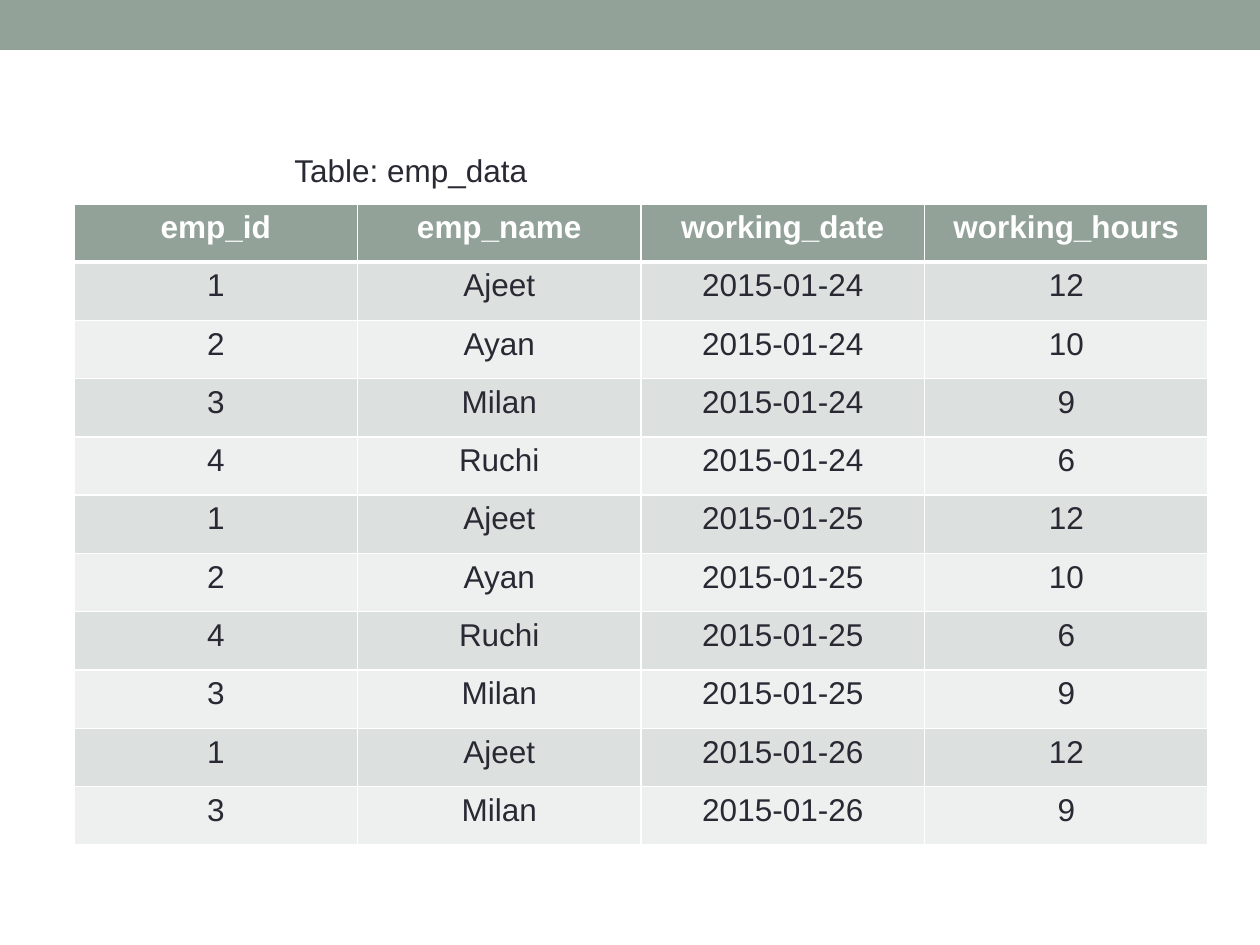
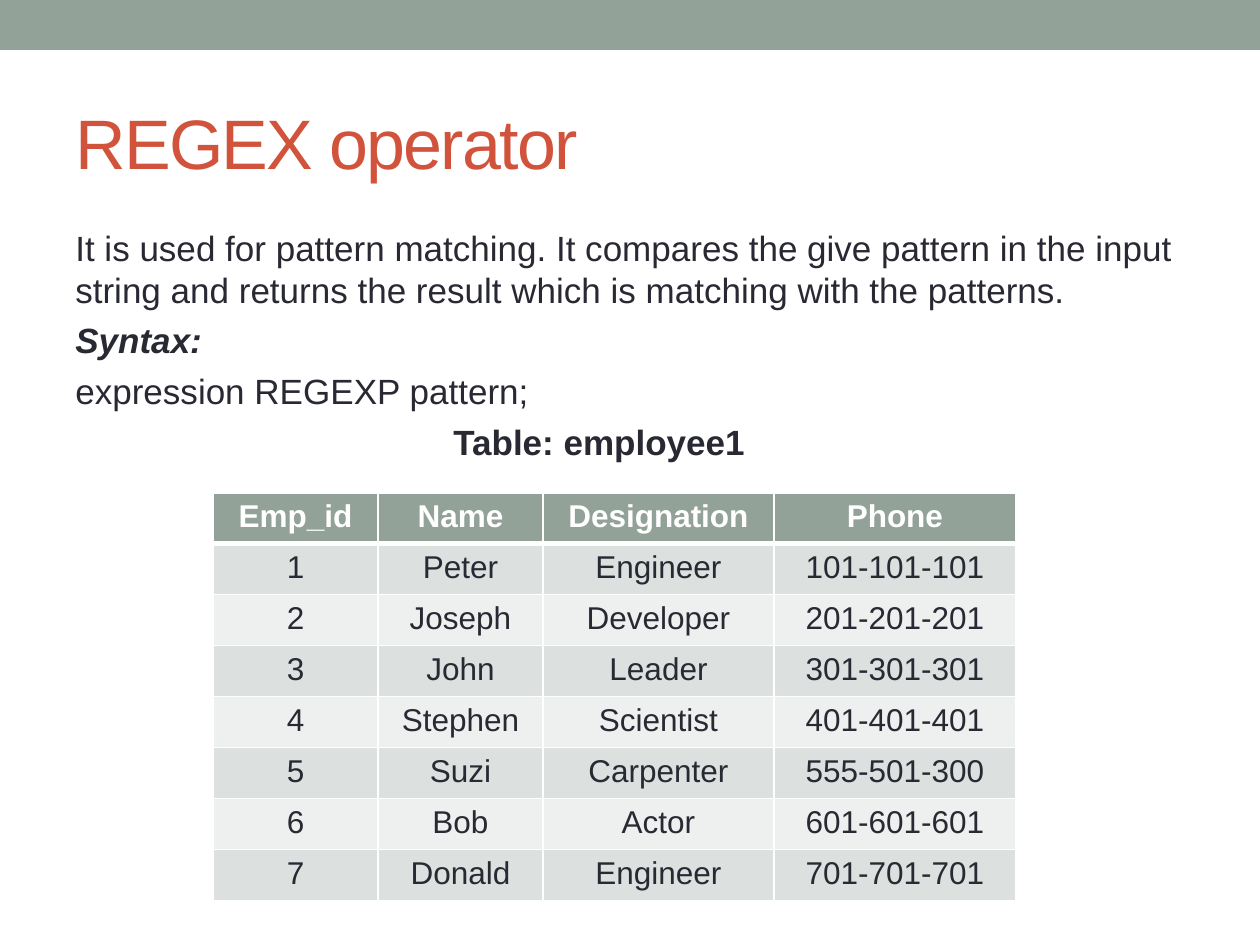
import dataclasses
import lxml.etree
import pptx
import pptx.dml.color
import pptx.enum.shapes
import pptx.enum.text
import pptx.oxml.ns
import pptx.util

EMU_PER_PX = pptx.util.Inches(1) / 126
PAGE_WIDTH, PAGE_HEIGHT = 1260, 945
CENTER = pptx.enum.text.PP_ALIGN.CENTER
MIDDLE = pptx.enum.text.MSO_ANCHOR.MIDDLE
TOP = pptx.enum.text.MSO_ANCHOR.TOP


@dataclasses.dataclass(frozen=True)
class Theme:
    font: str = "Arial"
    accent: str = "93A299"
    title: str = "D2533C"
    ink: str = "292934"
    white: str = "FFFFFF"
    row_fills: tuple = ("DCE0DE", "EEF0EF")
    title_size: int = 40
    body_size: int = 20
    table_size: int = 18
    paragraph_gap: int = 5
    grid_line: int = 1
    header_line: int = 3


THEME = Theme()

WORK_LOG = [
    ("emp_id", "emp_name", "working_date", "working_hours"),
    ("1", "Ajeet", "2015-01-24", "12"),
    ("2", "Ayan", "2015-01-24", "10"),
    ("3", "Milan", "2015-01-24", "9"),
    ("4", "Ruchi", "2015-01-24", "6"),
    ("1", "Ajeet", "2015-01-25", "12"),
    ("2", "Ayan", "2015-01-25", "10"),
    ("4", "Ruchi", "2015-01-25", "6"),
    ("3", "Milan", "2015-01-25", "9"),
    ("1", "Ajeet", "2015-01-26", "12"),
    ("3", "Milan", "2015-01-26", "9"),
]

EMPLOYEES = [
    ("Emp_id", "Name", "Designation", "Phone"),
    ("1", "Peter", "Engineer", "101-101-101"),
    ("2", "Joseph", "Developer", "201-201-201"),
    ("3", "John", "Leader", "301-301-301"),
    ("4", "Stephen", "Scientist", "401-401-401"),
    ("5", "Suzi", "Carpenter", "555-501-300"),
    ("6", "Bob", "Actor", "601-601-601"),
    ("7", "Donald", "Engineer", "701-701-701"),
]


def px(length):
    return pptx.util.Emu(round(length * EMU_PER_PX))


def rgb(color):
    return pptx.dml.color.RGBColor.from_string(color)


def style(paragraph, size, color, bold=False, italic=False):
    font = paragraph.font
    font.name = THEME.font
    font.size = pptx.util.Pt(size)
    font.color.rgb = rgb(color)
    font.bold = bold
    font.italic = italic


def add_page(deck):
    page = deck.slides.add_slide(deck.slide_layouts[6])
    band = page.shapes.add_shape(
        pptx.enum.shapes.MSO_SHAPE.RECTANGLE, 0, 0, px(PAGE_WIDTH), px(50))
    band.shadow.inherit = False
    band.fill.solid()
    band.fill.fore_color.rgb = rgb(THEME.accent)
    band.line.fill.background()
    return page


def add_box(page, left, top, width, height, anchor=TOP):
    box = page.shapes.add_textbox(px(left), px(top), px(width), px(height))
    frame = box.text_frame
    frame.word_wrap = True
    frame.vertical_anchor = anchor
    return frame


def add_title(page, text):
    paragraph = add_box(page, 63, 73, 1134, 136, MIDDLE).paragraphs[0]
    span = paragraph.add_run()
    span.text = text
    span.font._element.set("spc", "-100")
    style(paragraph, THEME.title_size, THEME.title)


def add_caption(page, text):
    paragraph = add_box(page, 282, 145, 507, 50).paragraphs[0]
    paragraph.text = text
    style(paragraph, THEME.table_size, THEME.ink)


def add_body(page, lines):
    frame = add_box(page, 63, 220, 1134, 698)
    for index, (text, bold, italic, indent) in enumerate(lines):
        paragraph = frame.add_paragraph() if index else frame.paragraphs[0]
        paragraph.text = text
        style(paragraph, THEME.body_size, THEME.ink, bold, italic)
        if index:
            paragraph.space_before = pptx.util.Pt(THEME.paragraph_gap)
        if indent:
            paragraph._p.get_or_add_pPr().set("marL", str(px(indent)))


def set_borders(cell, top, bottom):
    properties = cell._tc.get_or_add_tcPr()
    qualify = pptx.oxml.ns.qn
    widths = {"L": THEME.grid_line, "R": THEME.grid_line, "T": top, "B": bottom}
    for side, points in widths.items():
        line = lxml.etree.SubElement(
            properties, qualify(f"a:ln{side}"), w=str(pptx.util.Pt(points)))
        fill = lxml.etree.SubElement(line, qualify("a:solidFill"))
        lxml.etree.SubElement(fill, qualify("a:srgbClr"), val=THEME.white)


def fill_cell(cell, text, row_index):
    header = row_index == 0
    set_borders(
        cell,
        THEME.header_line if row_index == 1 else THEME.grid_line,
        THEME.header_line if header else THEME.grid_line)
    cell.fill.solid()
    cell.fill.fore_color.rgb = rgb(
        THEME.accent if header else THEME.row_fills[(row_index - 1) % 2])
    paragraph = cell.text_frame.paragraphs[0]
    paragraph.text = text
    paragraph.alignment = CENTER
    style(paragraph, THEME.table_size,
          THEME.white if header else THEME.ink, bold=header)


def add_data_table(page, rows, left, top, width, height, header_height, shares):
    table = page.shapes.add_table(
        len(rows), len(shares), px(left), px(top), px(width), px(height)).table
    table.first_row = False
    table.horz_banding = False
    for column, share in zip(table.columns, shares):
        column.width = px(width * share / sum(shares))
    row_height = (height - header_height) / (len(rows) - 1)
    for row_index, values in enumerate(rows):
        row = table.rows[row_index]
        row.height = px(row_height if row_index else header_height)
        for cell, value in zip(row.cells, values):
            fill_cell(cell, value, row_index)


def build_work_log(deck):
    page = add_page(deck)
    add_data_table(page, WORK_LOG, 74, 204, 1134, 641, 58, (1, 1, 1, 1))
    add_caption(page, "Table: emp_data")


def build_regex(deck):
    page = add_page(deck)
    add_title(page, "REGEX operator")
    add_body(page, [
        ("It is used for pattern matching. It compares the give pattern in the "
         "input string and returns the result which is matching with the "
         "patterns.", False, False, 0),
        ("Syntax:", True, True, 0),
        ("expression REGEXP pattern;", False, False, 0),
        ("Table: employee1", True, False, 378),
    ])
    add_data_table(page, EMPLOYEES, 213, 493, 803, 406, 49, (165, 165, 231, 242))


def main():
    deck = pptx.Presentation()
    deck.slide_width = px(PAGE_WIDTH)
    deck.slide_height = px(PAGE_HEIGHT)
    build_work_log(deck)
    build_regex(deck)
    deck.save("out.pptx")


if __name__ == "__main__":
    main()
